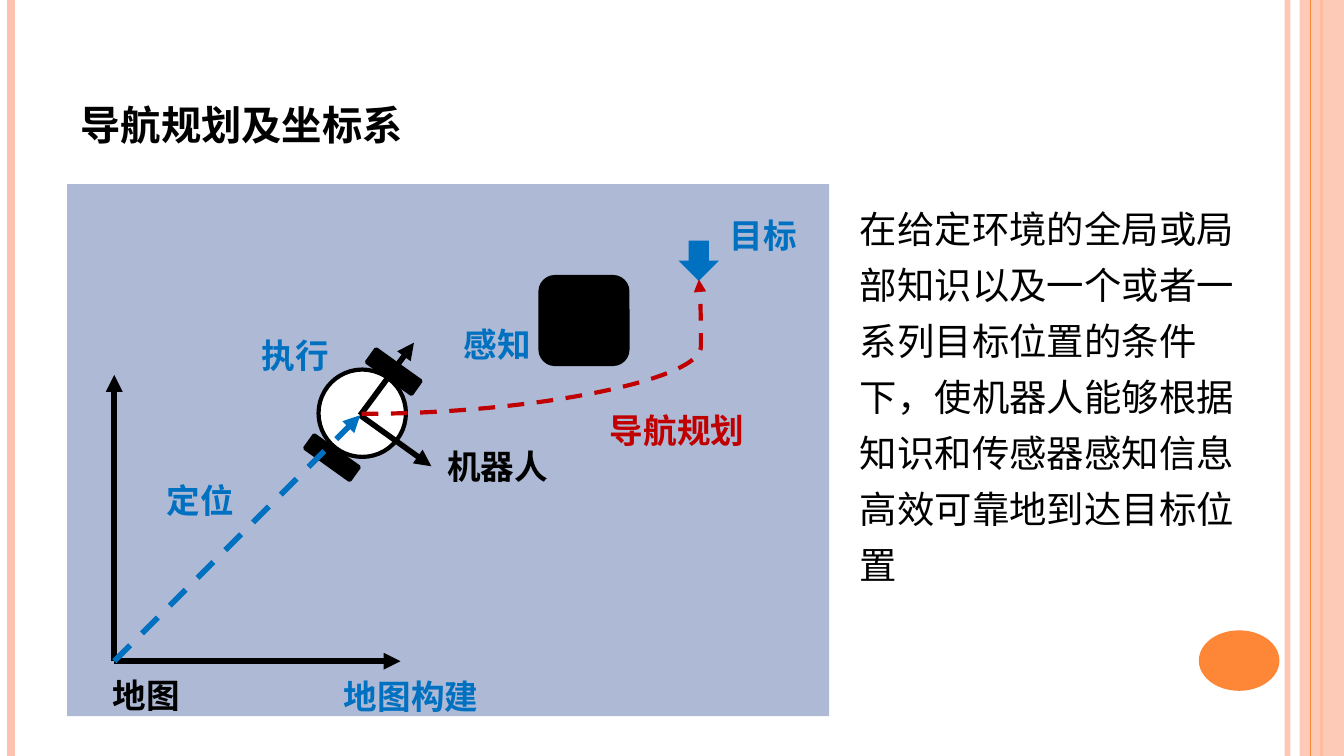
from dataclasses import dataclass

from lxml import etree
from pptx import Presentation
from pptx.dml.color import RGBColor
from pptx.enum.dml import MSO_LINE
from pptx.enum.shapes import MSO_CONNECTOR as Link, MSO_SHAPE as Shape
from pptx.enum.text import MSO_ANCHOR as Anchor
from pptx.oxml.ns import qn
from pptx.util import Inches, Pt


@dataclass(frozen=True)
class Theme:
    black: str = "000000"
    white: str = "FFFFFF"
    blue: str = "0070C0"
    red: str = "C00000"
    panel: str = "AEBAD5"
    orange: str = "FE8637"
    peach: str = "FEC3AE"
    latin: str = "Cambria"
    chinese: str = "Noto Sans CJK SC"
    title_size: float = 27
    body_size: float = 20
    label_size: float = 18


@dataclass(frozen=True)
class Box:
    left: float
    top: float
    width: float
    height: float

    def at(self, x, y):
        return self.left + x, self.top + y

    def inner(self, x, y, width, height):
        return Box(*self.at(x, y), width, height)

    def lengths(self):
        return [Inches(v) for v in (self.left, self.top, self.width, self.height)]


THEME = Theme()


def set_fill(fill, color, percent):
    fill.solid()
    fill.fore_color.rgb = RGBColor.from_string(color)
    if percent < 100:
        # The public colour API has no transparency
        element = fill._xPr.find(".//" + qn("a:srgbClr"))
        etree.SubElement(element, qn("a:alpha"), val=str(percent * 1000))


def add_text(slide, box, text, size=THEME.label_size, color=THEME.black,
             font=THEME.chinese, bold=True, anchor=Anchor.TOP, spacing=None,
             small_caps=False):
    frame = slide.shapes.add_textbox(*box.lengths()).text_frame
    frame.word_wrap = True
    frame.vertical_anchor = anchor
    paragraph = frame.paragraphs[0]
    # Keep punctuation inside the right margin
    paragraph._p.get_or_add_pPr().set("hangingPunct", "0")
    if spacing:
        paragraph.line_spacing = spacing
    run = paragraph.add_run()
    run.text = text
    run.font.size, run.font.bold, run.font.name = Pt(size), bold, font
    run.font.color.rgb = RGBColor.from_string(color)
    if small_caps:
        run.font._rPr.set("cap", "small")
    etree.SubElement(run.font._rPr, qn("a:ea"), typeface=THEME.chinese)


def add_block(slide, kind, box, color, outline=0, rotation=0, alpha=100):
    block = slide.shapes.add_shape(kind, *box.lengths())
    block.shadow.inherit = False
    block.rotation = rotation
    set_fill(block.fill, color, alpha)
    if outline:
        block.line.width = Pt(outline)
        block.line.color.rgb = RGBColor.from_string(THEME.black)
    else:
        block.line.fill.background()


def add_line(shapes, start, end, color=THEME.black, width=3, arrow=True,
             dashed=False, alpha=100, kind=Link.STRAIGHT):
    line = shapes.add_connector(kind, *[Inches(v) for v in (*start, *end)])
    set_fill(line.line.fill, color, alpha)
    line.line.width = Pt(width)
    if dashed:
        line.line.dash_style = MSO_LINE.DASH
    properties = line._element.spPr
    if arrow:
        etree.SubElement(properties.find(qn("a:ln")), qn("a:tailEnd"), type="triangle")
    etree.SubElement(properties, qn("a:effectLst"))
    return line


def draw_frame(slide, box):
    """Vertical stripes at both edges and the page badge."""
    def stripe(x, color, width, alpha=100):
        add_line(slide.shapes, box.at(x, 0), box.at(x, box.height), color, width,
                 arrow=False, alpha=alpha)

    stripe(9.58, THEME.peach, 3, alpha=93)
    stripe(0.08, THEME.peach, 4.5)
    stripe(9.83, THEME.orange, 1.5)
    add_block(slide, Shape.RECTANGLE, box.inner(9.67, 0, 0.33, box.height),
              THEME.peach, alpha=87)
    stripe(9.75, THEME.orange, 0.75)
    add_block(slide, Shape.OVAL, box.inner(8.92, 4.69, 0.6, 0.45), THEME.orange)


def draw_robot(slide, box):
    """Round body, its own coordinate axes and two wheels."""
    add_block(slide, Shape.OVAL, box, THEME.white, outline=2.25)
    axes = slide.shapes.add_group_shape().shapes
    for tip in ((0.71, -0.2), (0.84, 0.72)):
        add_line(axes, box.at(0.31, 0.34), box.at(*tip))
    for corner in ((0.5, -0.19), (0.04, 0.45)):
        add_block(slide, Shape.RECTANGLE, box.inner(*corner, 0.12, 0.41),
                  THEME.black, outline=2, rotation=305.6)


def draw_map(slide, box):
    """Map with world axes, robot, obstacle, goal and planned route."""
    add_block(slide, Shape.RECTANGLE, box, THEME.panel)

    # World axes
    origin = box.at(0.35, 3.55)
    for tip in ((0.35, 1.42), (2.48, 3.55)):
        add_line(slide.shapes, origin, box.at(*tip))

    # Goal, robot and obstacle
    add_block(slide, Shape.DOWN_ARROW, box.inner(4.55, 0.42, 0.3, 0.3), THEME.blue)
    draw_robot(slide, box.inner(1.87, 1.38, 0.65, 0.65))
    add_block(slide, Shape.ROUNDED_RECTANGLE, box.inner(3.52, 0.69, 0.65, 0.65),
              THEME.black, outline=2)

    # Localisation and route
    add_line(slide.shapes, origin, box.at(2.18, 1.72), THEME.blue, dashed=True)
    route = add_line(slide.shapes, box.at(2.19, 1.71), box.at(4.7, 0.71), THEME.red,
                     width=2.25, dashed=True, kind=Link.CURVE)
    guides = route._element.spPr.find(qn("a:prstGeom")).get_or_add_avLst()
    etree.SubElement(guides, qn("a:gd"), name="adj1", fmla="val 100600")

    # Labels
    labels = (
        ("机器人", 2.73, 1.9, 1.08, THEME.black, THEME.latin),
        ("地图", 0.24, 3.6, 0.83, THEME.black, THEME.latin),
        ("目标", 4.83, 0.18, 0.83, THEME.blue, THEME.chinese),
        ("定位", 0.64, 2.15, 0.89, THEME.blue, THEME.chinese),
        ("地图构建", 1.96, 3.61, 1.25, THEME.blue, THEME.chinese),
        ("导航规划", 3.94, 1.63, 1.25, THEME.red, THEME.chinese),
        ("执行", 1.35, 1.07, 1.25, THEME.blue, THEME.chinese),
        ("感知", 2.85, 0.99, 1.25, THEME.blue, THEME.chinese),
    )
    for text, x, y, width, color, font in labels:
        add_text(slide, box.inner(x, y, width, 0.4), text, color=color, font=font)


def draw_title(slide, box):
    add_text(slide, box, "导航规划及坐标系", size=THEME.title_size,
             font=THEME.latin, anchor=Anchor.BOTTOM, small_caps=True)


def draw_description(slide, box):
    add_text(slide, box,
             "在给定环境的全局或局部知识以及一个或者一系列目标位置的条件下，"
             "使机器人能够根据知识和传感器感知信息高效可靠地到达目标位置",
             size=THEME.body_size, bold=False, spacing=1.25)


def main():
    deck = Presentation()
    page = Box(0, 0, 10, 10 * 9 / 16)
    deck.slide_width, deck.slide_height = Inches(page.width), Inches(page.height)
    slide = deck.slides.add_slide(deck.slide_layouts[6])
    draw_frame(slide, page)
    draw_title(slide, Box(0.5, 0.23, 8.17, 0.94))
    draw_map(slide, Box(0.5, 1.37, 5.67, 3.96))
    draw_description(slide, Box(6.3, 1.4, 3.2, 2.57))
    deck.save("out.pptx")


if __name__ == "__main__":
    main()
